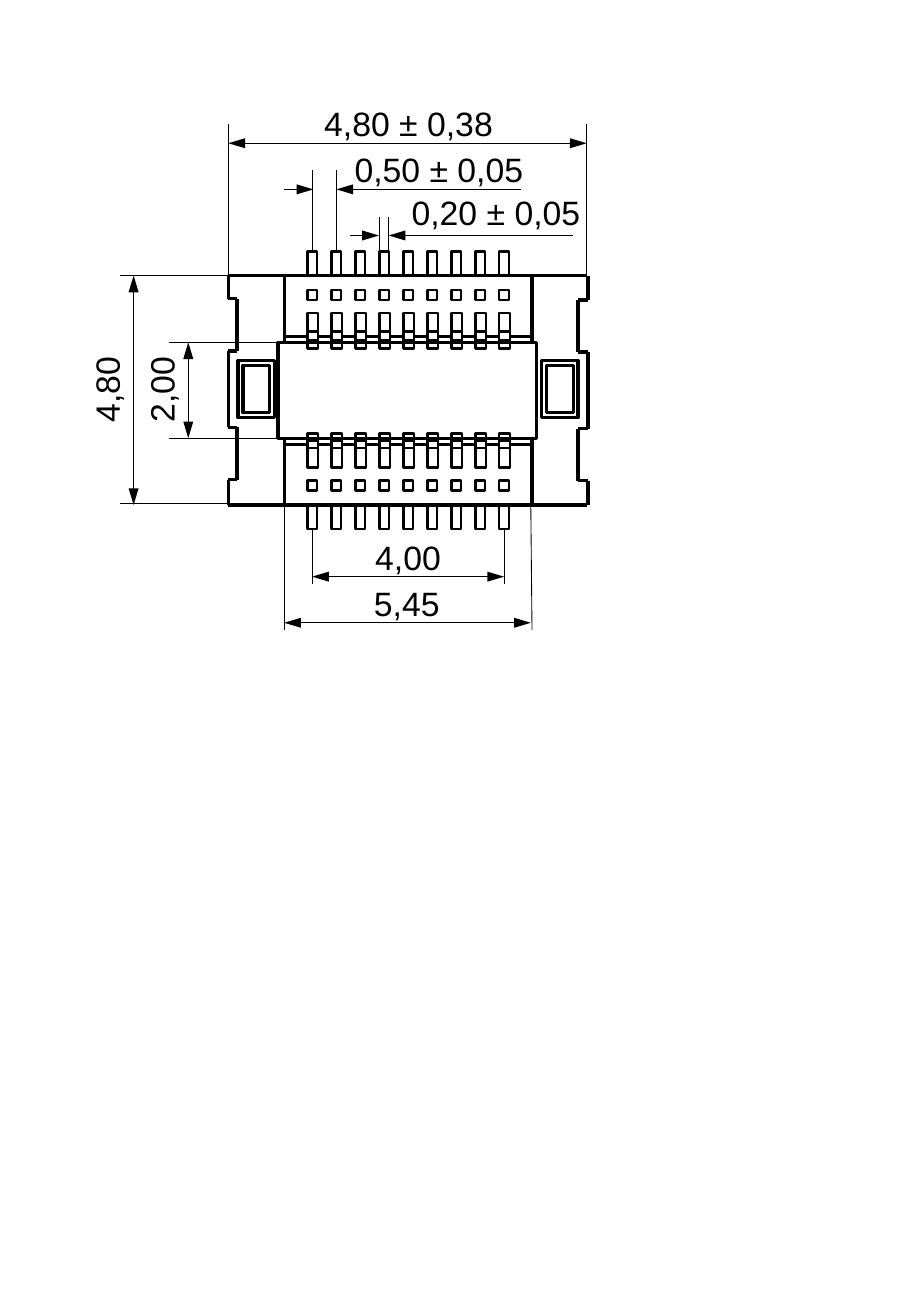
"""Draw the dimensioned top view of a nine-column board connector."""
from dataclasses import dataclass

import lxml.etree
import pptx
import pptx.dml.color
import pptx.enum.shapes
import pptx.enum.text
import pptx.oxml.ns
import pptx.slide
import pptx.util

BLACK = pptx.dml.color.RGBColor(0x00, 0x00, 0x00)
WHITE = pptx.dml.color.RGBColor(0xFF, 0xFF, 0xFF)
THIN, MEDIUM, THICK = 0.5, 1.5, 2

PIN_COUNT = 9
FIRST_PIN = 2.53
LAST_PIN = 4.11
PIN_PITCH = (LAST_PIN - FIRST_PIN) / (PIN_COUNT - 1)

LEFT, RIGHT = 1.88, 4.83
TOP, BOTTOM = 2.27, 4.16
BODY_LEFT, BODY_RIGHT = 2.34, 4.38
CORE_TOP, CORE_BOTTOM = 2.82, 3.61


@dataclass(frozen=True)
class Line:
    x1: float
    y1: float
    x2: float
    y2: float
    weight: float = THIN
    arrows: tuple[str, ...] = ()


@dataclass(frozen=True)
class Box:
    left: float
    top: float
    width: float
    height: float
    weight: float = THICK
    filled: bool = False


@dataclass(frozen=True)
class PinRow:
    top: float
    width: float
    height: float
    filled: bool = False


@dataclass(frozen=True)
class Label:
    text: str
    left: float
    top: float
    width: float = 0.74
    rotation: float = 0
    alignment: pptx.enum.text.PP_ALIGN = pptx.enum.text.PP_ALIGN.LEFT


BOTH = ("headEnd", "tailEnd")
START = ("headEnd",)
END = ("tailEnd",)

HOUSING_EDGES = [
    Line(BODY_LEFT, 3.66, BODY_RIGHT, 3.66, THICK),
    Line(BODY_LEFT, 2.77, BODY_RIGHT, 2.77, THICK),
    Line(LEFT, TOP, RIGHT, TOP, THICK),
    Line(LEFT, BOTTOM, RIGHT, BOTTOM, THICK),
]
BODY_EDGES = [
    Line(x, y1, x, y2, THICK)
    for x in (BODY_LEFT, BODY_RIGHT)
    for y1, y2 in ((TOP, CORE_TOP), (3.6, BOTTOM))
]
CORE = Box(2.29, CORE_TOP, 2.13, 0.79)
OUTER_PINS = [
    PinRow(2.07, 0.08, 0.2),
    PinRow(BOTTOM, 0.08, 0.2),
    PinRow(2.39, 0.08, 0.08),
    PinRow(3.96, 0.08, 0.08),
]
INNER_PINS = [
    PinRow(2.58, 0.09, 0.22, True),
    PinRow(3.63, 0.09, 0.22, True),
    PinRow(2.73, 0.09, 0.14),
    PinRow(3.57, 0.09, 0.12),
]
WINDOWS = [
    Box(left + inset, 2.97 + inset, 0.3 - 2 * inset, 0.47 - 2 * inset)
    for left in (1.96, 4.46)
    for inset in (0, 0.04)
]
EXTENSION_LINES = [
    Line(1.39, CORE_TOP, 2.29, CORE_TOP),
    Line(1.39, CORE_BOTTOM, 2.29, CORE_BOTTOM),
    Line(LEFT, TOP, 0.99, TOP),
    Line(LEFT, 4.15, 0.99, 4.15),
    Line(LEFT, TOP, LEFT, 1.02),
    Line(RIGHT, TOP, RIGHT, 1.02),
    Line(3.12, 2.07, 3.12, 1.79),
    Line(3.2, 2.07, 3.2, 1.79),
    Line(2.57, 2.07, 2.57, 1.4),
    Line(2.77, 2.07, 2.77, 1.4),
    Line(2.57, 4.35, 2.57, 4.81),
    Line(4.15, 4.35, 4.15, 4.81),
    Line(BODY_LEFT, 4.15, BODY_LEFT, 5.19),
    Line(4.37, 4.15, BODY_RIGHT, 5.19),
]
DIMENSION_LINES = [
    Line(1.55, CORE_TOP, 1.55, CORE_BOTTOM, arrows=BOTH),
    Line(1.1, TOP, 1.1, BOTTOM, arrows=BOTH),
    Line(LEFT, 1.18, RIGHT, 1.18, arrows=BOTH),
    Line(2.34, 1.56, 2.58, 1.56, arrows=END),
    Line(2.77, 1.56, 4.29, 1.56, arrows=START),
    Line(2.88, 1.94, 3.12, 1.94, arrows=END),
    Line(3.2, 1.94, 4.72, 1.94, arrows=START),
    Line(2.57, 4.75, 4.15, 4.75, arrows=BOTH),
    Line(BODY_LEFT, 5.13, 4.37, 5.13, arrows=BOTH),
]
LABELS = [
    Label("2,00", 0.96, 2.99, rotation=270),
    Label("4,80", 0.51, 2.99, rotation=270),
    Label("4,80 ± 0,38", 2.57, 0.8, 1.59),
    Label("0,20 ± 0,05", 3.29, 1.53, 1.59),
    Label("0,50 ± 0,05", 2.82, 1.18, 1.59),
    Label("4,00", 2.99, 4.37, alignment=pptx.enum.text.PP_ALIGN.CENTER),
    Label("5,45", 2.98, 4.75, alignment=pptx.enum.text.PP_ALIGN.CENTER),
]


def side_edges(outer: float, inner: float, shift: float) -> list[Line]:
    """Return the notched outline of one end of the housing."""
    notches = [(2.46 + shift, 2.89 + shift), (3.52 + shift, 3.95 + shift)]
    (first, second), (third, fourth) = notches
    walls = [(TOP, first), (second, third), (fourth, BOTTOM)]
    edges = [Line(outer, y1, outer, y2, THICK) for y1, y2 in walls]
    for y1, y2 in notches:
        edges.append(Line(inner, y1, inner, y2, THICK))
        edges += [Line(outer, y, inner, y, THICK) for y in (y1, y2)]
    return edges


def draw_line(slide: pptx.slide.Slide, line: Line) -> None:
    """Draw a straight line with its arrowheads."""
    ends = [pptx.util.Inches(value) for value in (line.x1, line.y1, line.x2, line.y2)]
    connector = slide.shapes.add_connector(pptx.enum.shapes.MSO_CONNECTOR.STRAIGHT, *ends)
    connector.line.color.rgb = BLACK
    connector.line.width = pptx.util.Pt(line.weight)
    properties = connector.element.spPr
    outline = properties.find(pptx.oxml.ns.qn("a:ln"))
    for end in line.arrows:
        lxml.etree.SubElement(
            outline, pptx.oxml.ns.qn(f"a:{end}"), type="triangle", w="med", len="lg")
    lxml.etree.SubElement(properties, pptx.oxml.ns.qn("a:effectLst"))


def draw_box(slide: pptx.slide.Slide, box: Box) -> None:
    """Draw an outlined rectangle."""
    frame = [pptx.util.Inches(value) for value in (box.left, box.top, box.width, box.height)]
    shape = slide.shapes.add_shape(pptx.enum.shapes.MSO_SHAPE.RECTANGLE, *frame)
    shape.shadow.inherit = False
    shape.line.color.rgb = BLACK
    shape.line.width = pptx.util.Pt(box.weight)
    if box.filled:
        shape.fill.solid()
        shape.fill.fore_color.rgb = WHITE
    else:
        shape.fill.background()


def draw_pins(slide: pptx.slide.Slide, row: PinRow) -> None:
    """Draw one evenly spaced row of pins."""
    for index in range(PIN_COUNT):
        left = FIRST_PIN + index * PIN_PITCH
        draw_box(slide, Box(left, row.top, row.width, row.height, MEDIUM, row.filled))


def draw_label(slide: pptx.slide.Slide, label: Label) -> None:
    """Write a dimension value."""
    frame = [pptx.util.Inches(value) for value in (label.left, label.top, label.width, 0.44)]
    shape = slide.shapes.add_textbox(*frame)
    shape.rotation = label.rotation
    shape.text_frame.word_wrap = False
    shape.text_frame.auto_size = pptx.enum.text.MSO_AUTO_SIZE.SHAPE_TO_FIT_TEXT
    paragraph = shape.text_frame.paragraphs[0]
    paragraph.text = label.text
    paragraph.alignment = label.alignment
    paragraph.font.name = "Arial"
    paragraph.font.size = pptx.util.Pt(20)
    paragraph.font.color.rgb = BLACK


def main() -> None:
    """Build and save the presentation."""
    presentation = pptx.Presentation()
    presentation.slide_width = pptx.util.Inches(7.5)
    presentation.slide_height = pptx.util.Inches(10.84)
    slide = presentation.slides.add_slide(presentation.slide_layouts[6])
    for line in HOUSING_EDGES + BODY_EDGES:
        draw_line(slide, line)
    for row in OUTER_PINS:
        draw_pins(slide, row)
    draw_box(slide, CORE)
    for row in INNER_PINS:
        draw_pins(slide, row)
    for line in side_edges(LEFT, 1.95, 0) + side_edges(4.84, 4.76, 0.01):
        draw_line(slide, line)
    for window in WINDOWS:
        draw_box(slide, window)
    for line in EXTENSION_LINES + DIMENSION_LINES:
        draw_line(slide, line)
    for label in LABELS:
        draw_label(slide, label)
    presentation.save("out.pptx")


if __name__ == "__main__":
    main()
